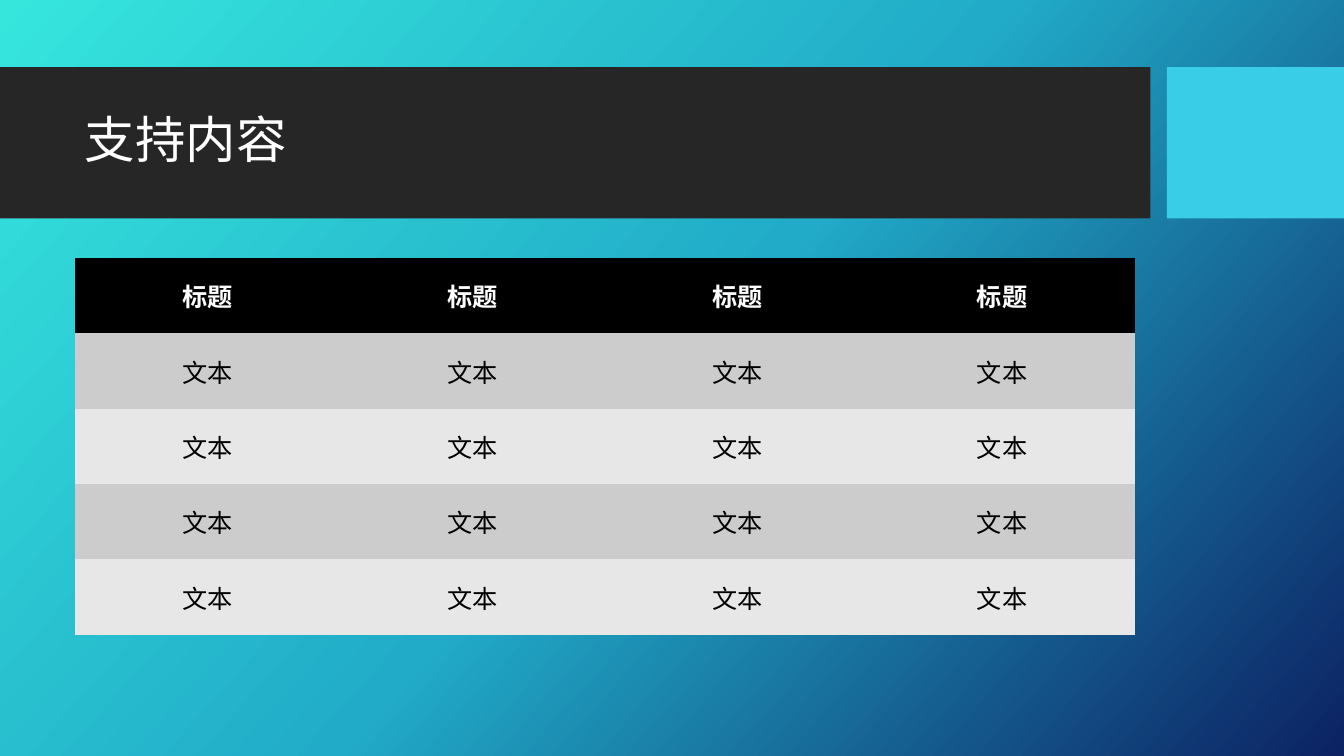
from copy import deepcopy
from dataclasses import dataclass

from pptx import Presentation
from pptx.dml.color import RGBColor
from pptx.enum.shapes import MSO_SHAPE
from pptx.enum.text import MSO_ANCHOR, MSO_AUTO_SIZE, PP_ALIGN
from pptx.oxml.ns import qn
from pptx.slide import Slide
from pptx.util import Pt

FONT = "Noto Sans CJK SC"
WHITE, BLACK = "FFFFFF", "000000"
NO_STYLE = "{2D5ABB26-0587-4C30-8999-92F81FD0307C}"
LEFT, WIDTH = 53.5, 757
COLUMNS = 4
ROW_HEIGHT = 53.85


@dataclass
class Bar:
    left: float
    width: float
    color: str


@dataclass
class RowStyle:
    text: str
    color: str
    fill: str
    bold: bool = False


BARS = [Bar(0, 821.8, "262626"), Bar(833.5, 126.5, "39CDE7")]
BODY_PAIR = [RowStyle("文本", BLACK, "CCCCCC"), RowStyle("文本", BLACK, "E7E7E7")]
ROWS = [RowStyle("标题", WHITE, BLACK, True)] + BODY_PAIR * 2
BACKGROUND = [(0, "36E6DD"), (0.5, "21ABC8"), (1, "0C2263")]


def rgb(value: str) -> RGBColor:
    return RGBColor.from_string(value)


def add_run(p, text: str, size: float, color: str, bold: bool = False) -> None:
    r = p.add_run()
    r.text = text
    r.font.size = Pt(size)
    r.font.bold = bold
    r.font.color.rgb = rgb(color)
    r.font.name = FONT
    east_asian = r.font._element.makeelement(qn("a:ea"), {"typeface": FONT})
    r.font._element.append(east_asian)


def paint_background(s: Slide) -> None:
    fill = s.background.fill
    fill.gradient()
    fill.gradient_angle = 360 - 42
    stop_list = s.element.find(".//" + qn("a:gsLst"))
    stop_list.append(deepcopy(stop_list[-1]))
    for stop, (position, color) in zip(fill.gradient_stops, BACKGROUND):
        stop.position = position
        stop.color.rgb = rgb(color)


def add_bar(s: Slide, bar: Bar) -> None:
    sp = s.shapes.add_shape(
        MSO_SHAPE.RECTANGLE, Pt(bar.left), Pt(48), Pt(bar.width), Pt(108)
    )
    sp.shadow.inherit = False
    sp.fill.solid()
    sp.fill.fore_color.rgb = rgb(bar.color)
    sp.line.fill.background()


def set_title(s: Slide, text: str) -> None:
    """Format the title placeholder and bring it in front of the bars."""
    title = s.shapes.title
    s.shapes._spTree.append(title._element)
    title.left, title.top, title.width, title.height = (
        Pt(LEFT), Pt(59), Pt(WIDTH), Pt(85)
    )
    tf = title.text_frame
    tf.word_wrap = True
    tf.auto_size = MSO_AUTO_SIZE.NONE
    tf.vertical_anchor = MSO_ANCHOR.MIDDLE
    p = tf.paragraphs[0]
    p.alignment = PP_ALIGN.LEFT
    p.line_spacing = 0.9
    add_run(p, text, 36, WHITE)


def add_content_table(s: Slide) -> None:
    frame = s.shapes.add_table(
        len(ROWS), COLUMNS, Pt(LEFT), Pt(184.3), Pt(WIDTH), Pt(ROW_HEIGHT * len(ROWS))
    )
    table = frame.table
    frame._element.find(".//" + qn("a:tableStyleId")).text = NO_STYLE
    for column in table.columns:
        column.width = Pt(WIDTH / COLUMNS)
    for row, style in zip(table.rows, ROWS):
        row.height = Pt(ROW_HEIGHT)
        for cell in row.cells:
            cell.fill.solid()
            cell.fill.fore_color.rgb = rgb(style.fill)
            cell.vertical_anchor = MSO_ANCHOR.MIDDLE
            p = cell.text_frame.paragraphs[0]
            p.alignment = PP_ALIGN.CENTER
            add_run(p, style.text, 18, style.color, style.bold)


def main() -> None:
    prs = Presentation()
    prs.slide_width, prs.slide_height = Pt(960), Pt(540)
    s = prs.slides.add_slide(prs.slide_layouts.get_by_name("Title Only"))
    paint_background(s)
    for bar in BARS:
        add_bar(s, bar)
    set_title(s, "支持内容")
    add_content_table(s)
    prs.save("out.pptx")


if __name__ == "__main__":
    main()
